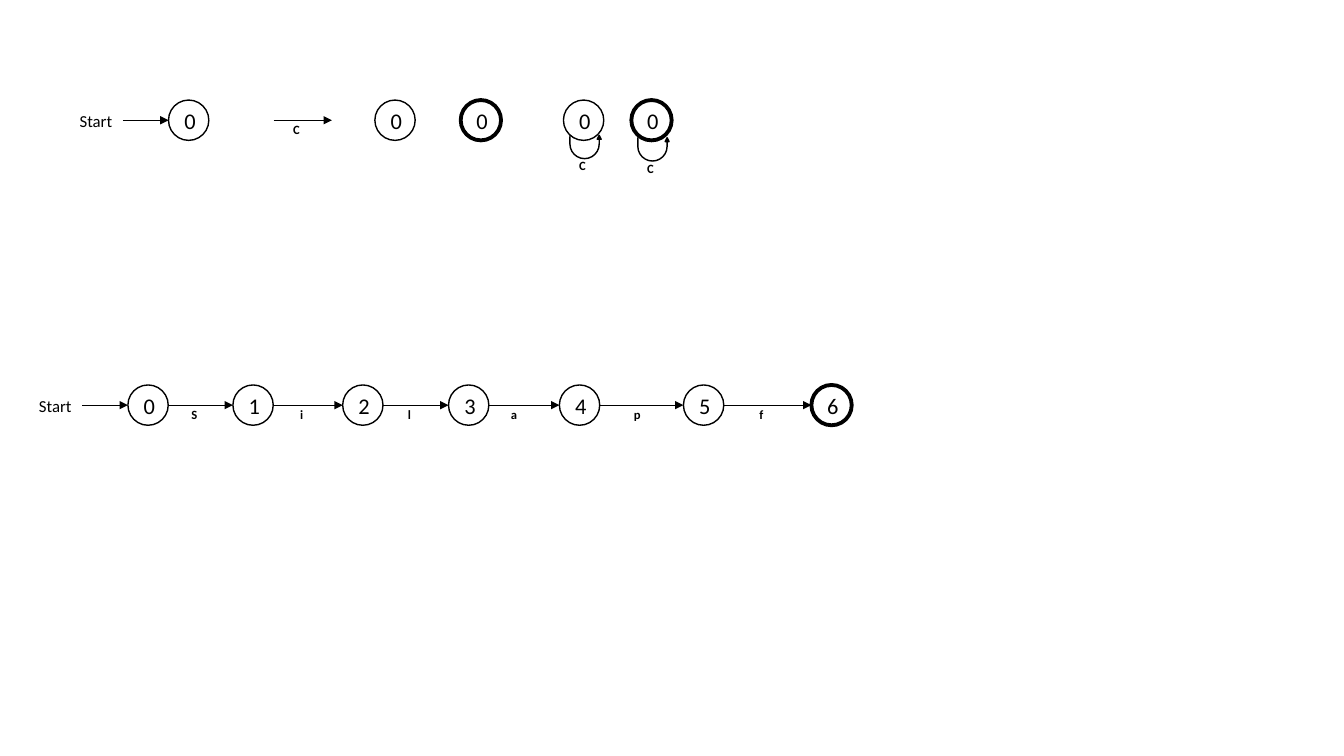
from dataclasses import dataclass

from lxml import etree
from pptx import Presentation
from pptx import util as u
from pptx.dml import color
from pptx.enum import shapes, text
from pptx.oxml import ns


@dataclass(frozen=True)
class Theme:
    ink: color.RGBColor = color.RGBColor(0, 0, 0)
    font: str = "Calibri"
    state_size: float = 16
    start_size: float = 12
    label_size: float = 9
    arrow_line: float = 0.75
    state_line: float = 1
    final_line: float = 2.75


THEME = Theme()
DIAMETER = 28.8
RADIUS = DIAMETER / 2
LABEL_SHIFT = -4.5


def points(*lengths):
    return [u.Pt(length) for length in lengths]


def write(frame, words, size, bold=False):
    frame.text = words
    paragraph = frame.paragraphs[0]
    paragraph.alignment = text.PP_ALIGN.CENTER
    font = paragraph.runs[0].font
    font.name, font.size, font.bold = THEME.font, u.Pt(size), bold
    font.color.rgb = THEME.ink


def add_words(parent, left, top, width, height, words, size, bold=False):
    frame = parent.add_textbox(*points(left, top, width, height)).text_frame
    frame.margin_left = frame.margin_right = 0
    frame.word_wrap = False
    frame.vertical_anchor = text.MSO_ANCHOR.MIDDLE
    write(frame, words, size, bold)


def add_label(parent, center, top, symbol):
    add_words(parent, center - 6, top, 12, 18, symbol, THEME.label_size, True)


def add_arrow(parent, start, end, y):
    arrow = parent.add_connector(
        shapes.MSO_CONNECTOR.STRAIGHT, *points(start, y, end, y))
    arrow.line.color.rgb = THEME.ink
    arrow.line.width = u.Pt(THEME.arrow_line)
    etree.SubElement(arrow.line._get_or_add_ln(), ns.qn("a:tailEnd"), type="triangle")
    etree.SubElement(arrow._element.spPr, ns.qn("a:effectLst"))


def add_state(parent, left, top, number, final=False):
    state = parent.add_shape(
        shapes.MSO_SHAPE.OVAL, *points(left, top, DIAMETER, DIAMETER))
    state.shadow.inherit = False
    state.fill.background()
    state.line.color.rgb = THEME.ink
    state.line.width = u.Pt(THEME.final_line if final else THEME.state_line)
    state.text_frame.vertical_anchor = text.MSO_ANCHOR.MIDDLE
    write(state.text_frame, number, THEME.state_size)


def add_start_state(slide, left, top):
    start = slide.shapes.add_group_shape().shapes
    middle = top + RADIUS
    add_words(start, left - 71, middle - 10.8, 38.2, 21.8, "Start", THEME.start_size)
    add_arrow(start, left - 32.6, left, middle)
    add_state(start, left, top, "0")


def add_edge(slide, start, end, y, symbol, shift=LABEL_SHIFT):
    edge = slide.shapes.add_group_shape().shapes
    add_arrow(edge, start, end, y)
    add_label(edge, (start + end) / 2 + shift, y - 2.5, symbol)


def add_looped_state(slide, left, top, drop, final=False):
    looped = slide.shapes.add_group_shape().shapes
    add_state(looped, left, top, "0", final)
    loop = looped.add_shape(
        shapes.MSO_SHAPE.U_TURN_ARROW, *points(left + 4.6, top + drop, 22.3, 16.6))
    for index, ratio in enumerate((0, 0.085, 0.164, 0.717, 1)):
        loop.adjustments[index] = ratio
    loop.rotation = 180
    loop._element.spPr.xfrm.set("flipH", "1")
    loop.shadow.inherit = False
    loop.fill.solid()
    loop.fill.fore_color.rgb = THEME.ink
    loop.line.color.rgb = THEME.ink
    loop.line.width = u.Pt(THEME.state_line)
    add_label(looped, left + RADIUS - 0.8, top + drop + 12.6, "C")


def add_symbol_key(slide, left, top):
    add_start_state(slide, left, top)
    add_edge(slide, left + 75, left + 116.7, top + RADIUS, "C")
    add_state(slide.shapes, left + 147.4, top, "0")
    add_state(slide.shapes, left + 208.7, top, "0", final=True)
    add_looped_state(slide, left + 282.1, top, 25.2)
    add_looped_state(slide, left + 330.6, top, 26.9, final=True)


def add_automaton(slide, left, top):
    add_start_state(slide, left, top)
    transitions = (
        ("S", 75, LABEL_SHIFT),
        ("i", 153.4, LABEL_SHIFT),
        ("l", 229, LABEL_SHIFT),
        ("a", 308.2, -7.2),
        ("p", 396.8, -3.2),
        ("f", 488.2, LABEL_SHIFT),
    )
    previous = left
    for number, (symbol, offset, shift) in enumerate(transitions, 1):
        current = left + offset
        add_edge(slide, previous + DIAMETER, current, top + RADIUS, symbol, shift)
        add_state(slide.shapes, current, top, str(number), number == len(transitions))
        previous = current


def main():
    deck = Presentation()
    deck.slide_width, deck.slide_height = points(960, 540)
    slide = deck.slides.add_slide(deck.slide_layouts[6])
    add_symbol_key(slide, 120.4, 71.5)
    add_automaton(slide, 91.4, 275)
    deck.save("out.pptx")


if __name__ == "__main__":
    main()
